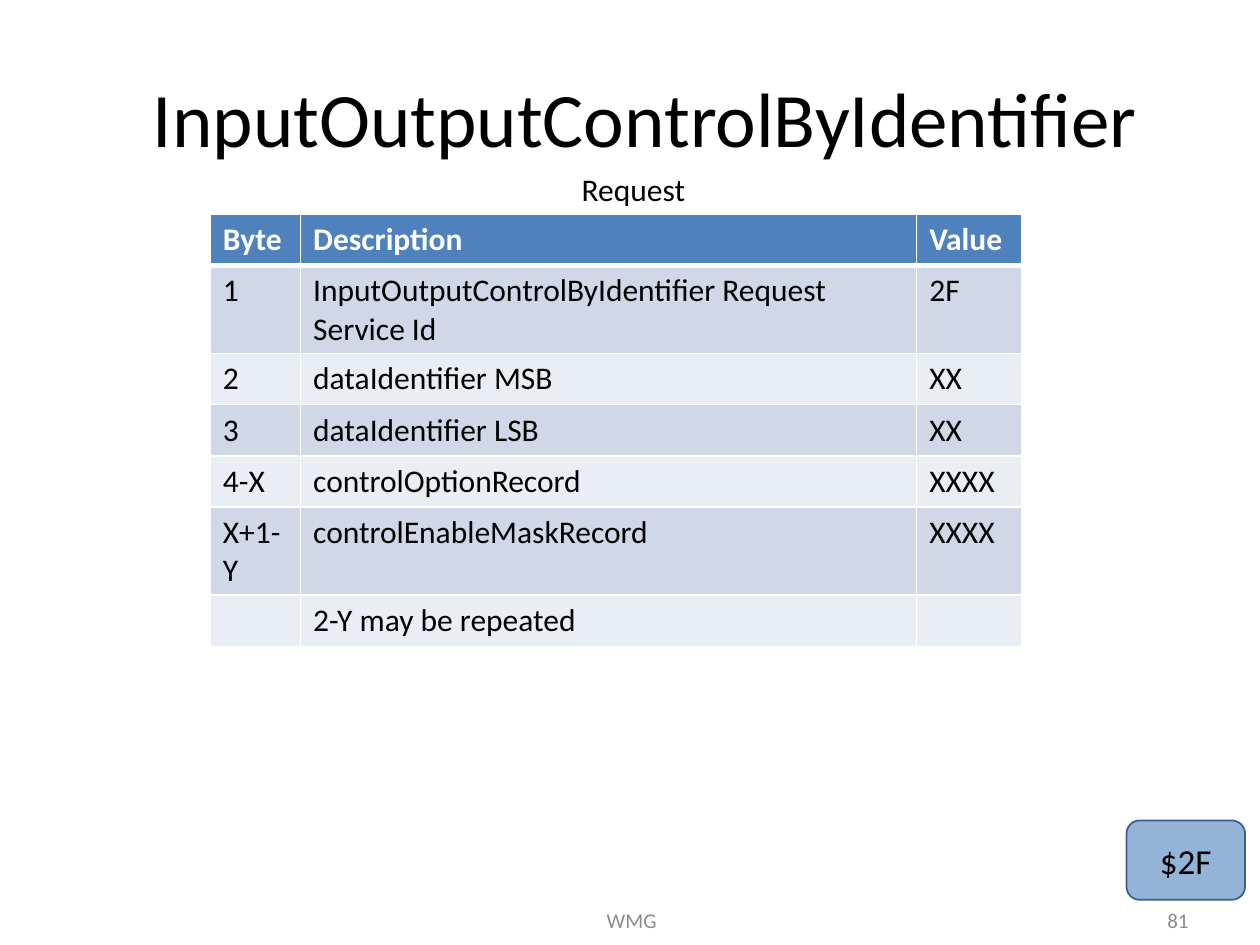
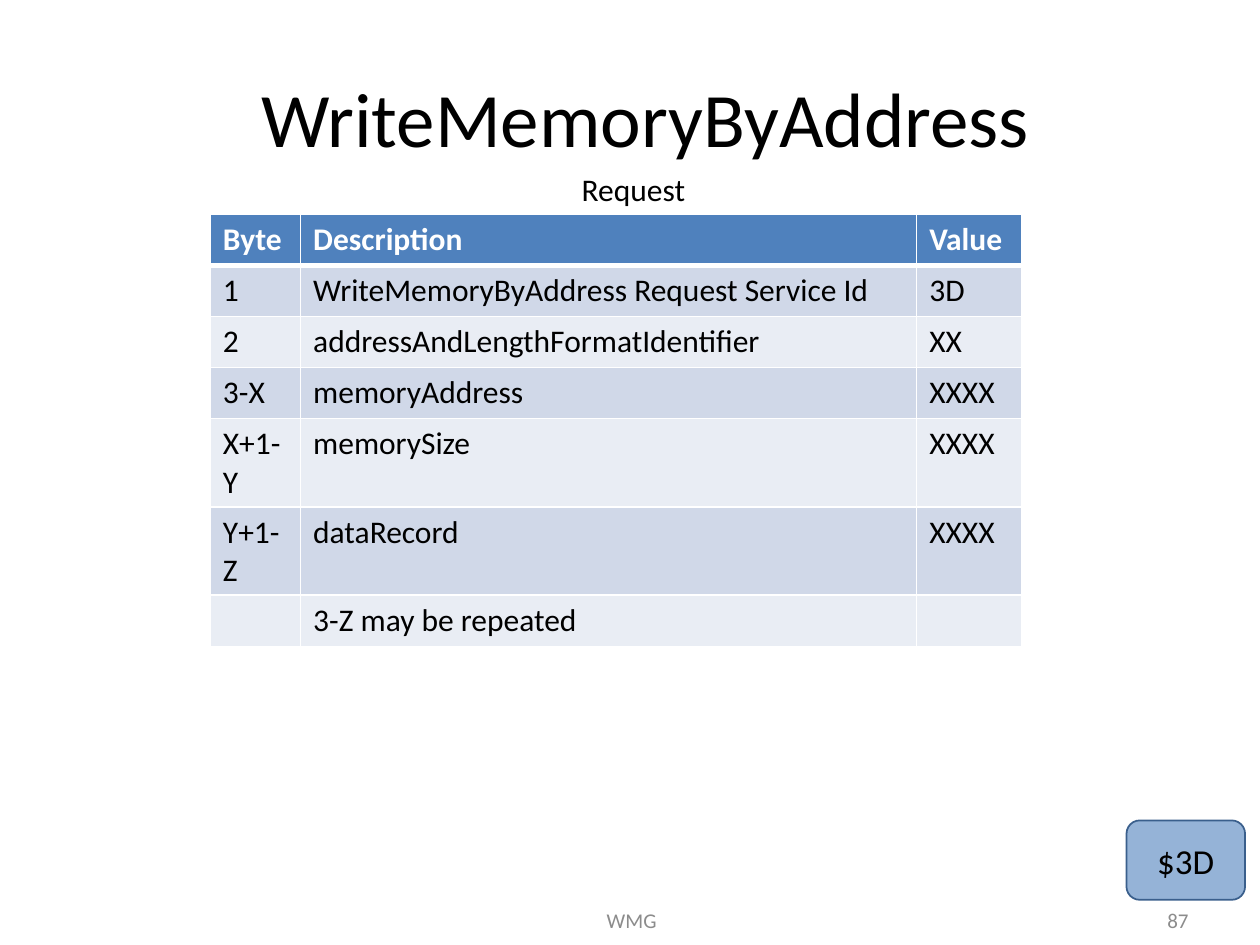
from dataclasses import dataclass
from pptx import Presentation
from pptx.dml.color import RGBColor as Rgb
from pptx.enum.shapes import MSO_SHAPE as Shape
from pptx.enum.text import MSO_ANCHOR as Anchor, MSO_AUTO_SIZE as Fit, PP_ALIGN as Align
from pptx.oxml import parse_xml
from pptx.oxml.ns import nsdecls
from pptx.util import Cm, Pt

# Content
HEAD = ("Byte", "Description", "Value")
FOOT = "WMG"
LABEL = "Request"
PAGES = [
    {
        "title": "InputOutputControlByIdentifier", "code": "$2F", "page": "81",
        "rows": [
            ("1", "InputOutputControlByIdentifier Request Service Id", "2F"),
            ("2", "dataIdentifier MSB", "XX"),
            ("3", "dataIdentifier LSB", "XX"),
            ("4-X", "controlOptionRecord", "XXXX"),
            ("X+1-Y", "controlEnableMaskRecord", "XXXX"),
            ("", "2-Y may be repeated", ""),
        ],
    },
    {
        "title": "WriteMemoryByAddress", "code": "$3D", "page": "87",
        "rows": [
            ("1", "WriteMemoryByAddress Request Service Id", "3D"),
            ("2", "addressAndLengthFormatIdentifier", "XX"),
            ("3-X", "memoryAddress", "XXXX"),
            ("X+1-Y", "memorySize", "XXXX"),
            ("Y+1-Z", "dataRecord", "XXXX"),
            ("", "3-Z may be repeated", ""),
        ],
    },
]


@dataclass(frozen=True)
class Theme:
    font: str = "Calibri"
    ink: str = "000000"
    pale: str = "FFFFFF"
    grey: str = "8C8C8C"
    head: str = "4F81BD"
    bands: tuple = ("D0D8E8", "E9EDF4")
    badge: str = "95B3D7"
    edge: str = "3A5F8C"
    title: int = 44
    code: int = 20
    body: int = 18
    foot: int = 12


LOOK = Theme()

# Places: left, top, width, height in cm
TITLE = (1.9, 0.76, 22.23, 3.18)
NOTE = (11.46, 3.3, 2.62, 1.02)
FOOTER = (8.71, 18.03, 8.05, 1.02)
NUMBER = (18.29, 18.03, 5.92, 1.02)
BADGE = (22.71, 16.54, 2.39, 1.6)
GRID = (4.24, 4.32)
COLS = (1.82, 12.42, 2.11)
ROW = 1.03


def place(box):
    return [Cm(n) for n in box]


def write(frame, text, size, color, align=Align.LEFT, bold=False):
    par = frame.paragraphs[0]
    par.text = text
    par.alignment = align
    font = par.font
    font.name, font.size, font.bold = LOOK.font, Pt(size), bold
    font.color.rgb = Rgb.from_string(color)


def add_text(slide, box, text, size, color, align=Align.CENTER, anchor=Anchor.MIDDLE):
    frame = slide.shapes.add_textbox(*place(box)).text_frame
    frame.word_wrap = True
    frame.vertical_anchor = anchor
    write(frame, text, size, color, align)
    return frame


def add_badge(slide, text):
    badge = slide.shapes.add_shape(Shape.ROUNDED_RECTANGLE, *place(BADGE))
    badge.shadow.inherit = False
    badge.fill.solid()
    badge.fill.fore_color.rgb = Rgb.from_string(LOOK.badge)
    badge.line.color.rgb = Rgb.from_string(LOOK.edge)
    badge.line.width = Pt(1)
    badge.text_frame.vertical_anchor = Anchor.MIDDLE
    write(badge.text_frame, text, LOOK.code, LOOK.ink, Align.CENTER)


def add_edges(cell, top, base):
    # Border lines come ahead of the fill in the cell properties
    props = cell._tc.get_or_add_tcPr()
    for spot, (side, width) in enumerate(zip("LRTB", (1, 1, top, base))):
        props.insert(spot, parse_xml(
            f'<a:ln{side} {nsdecls("a")} w="{Pt(width)}"><a:solidFill>'
            f'<a:srgbClr val="{LOOK.pale}"/></a:solidFill></a:ln{side}>'))


def add_grid(slide, rows):
    size = (sum(COLS), ROW * len(rows))
    grid = slide.shapes.add_table(len(rows), len(COLS), *place(GRID + size)).table
    for col, width in zip(grid.columns, COLS):
        col.width = Cm(width)
    for r, row in enumerate(rows):
        grid.rows[r].height = Cm(ROW)
        top = r == 0
        fill = LOOK.head if top else LOOK.bands[(r - 1) % 2]
        for c, text in enumerate(row):
            cell = grid.cell(r, c)
            cell.fill.solid()
            cell.fill.fore_color.rgb = Rgb.from_string(fill)
            add_edges(cell, 3 if r == 1 else 1, 3 if top else 1)
            write(cell.text_frame, text, LOOK.body,
                  LOOK.pale if top else LOOK.ink, bold=top)


def add_page(deck, page):
    slide = deck.slides.add_slide(deck.slide_layouts[6])
    add_text(slide, TITLE, page["title"], LOOK.title, LOOK.ink)
    add_text(slide, FOOTER, FOOT, LOOK.foot, LOOK.grey)
    add_text(slide, NUMBER, page["page"], LOOK.foot, LOOK.grey, Align.RIGHT)
    add_grid(slide, [HEAD] + page["rows"])
    add_badge(slide, page["code"])
    note = add_text(slide, NOTE, LABEL, LOOK.body, LOOK.ink, anchor=Anchor.TOP)
    note.word_wrap = False
    note.auto_size = Fit.SHAPE_TO_FIT_TEXT


def main():
    deck = Presentation()
    deck.slide_width, deck.slide_height = Cm(25.4), Cm(19.05)
    for page in PAGES:
        add_page(deck, page)
    deck.save("out.pptx")


if __name__ == "__main__":
    main()
